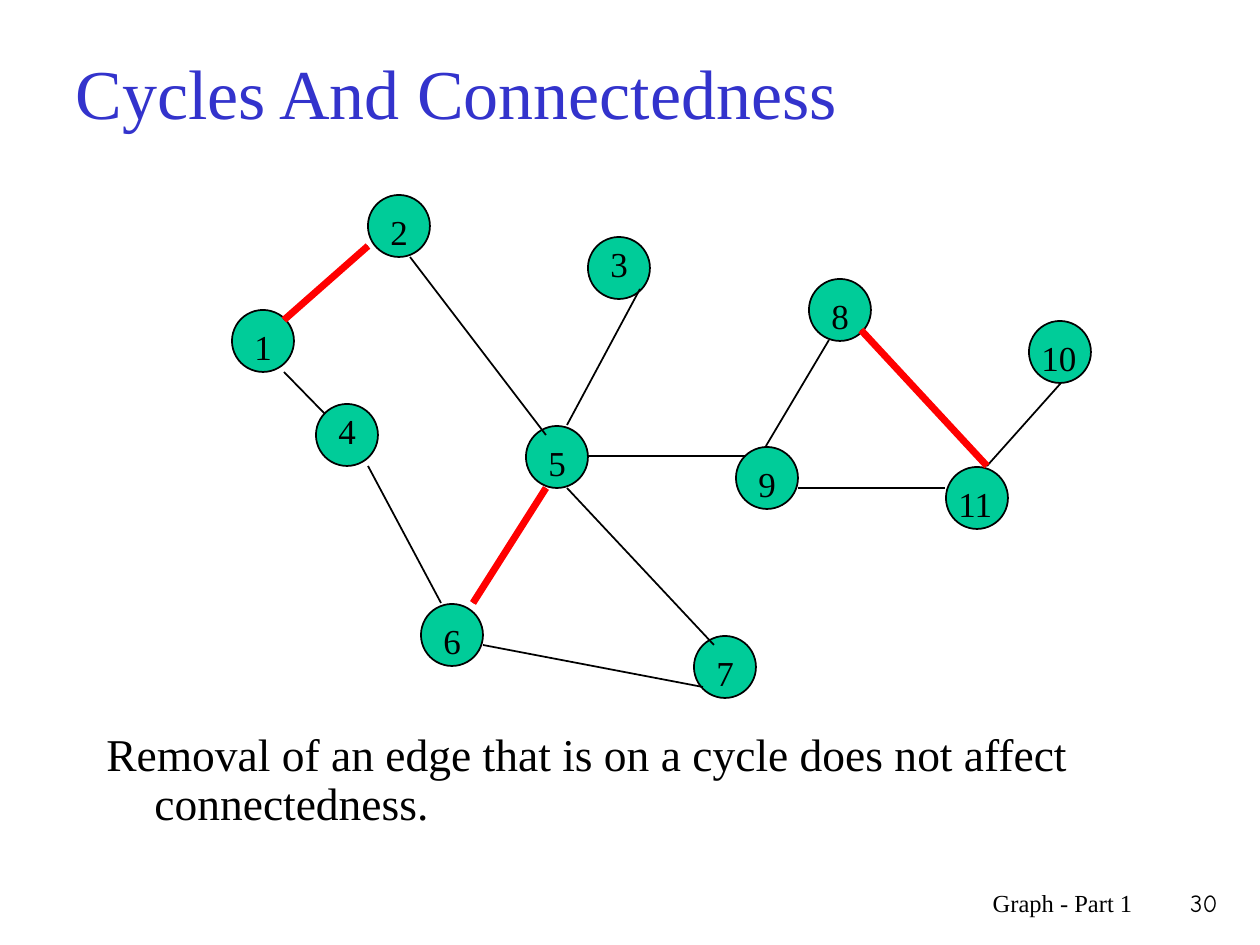
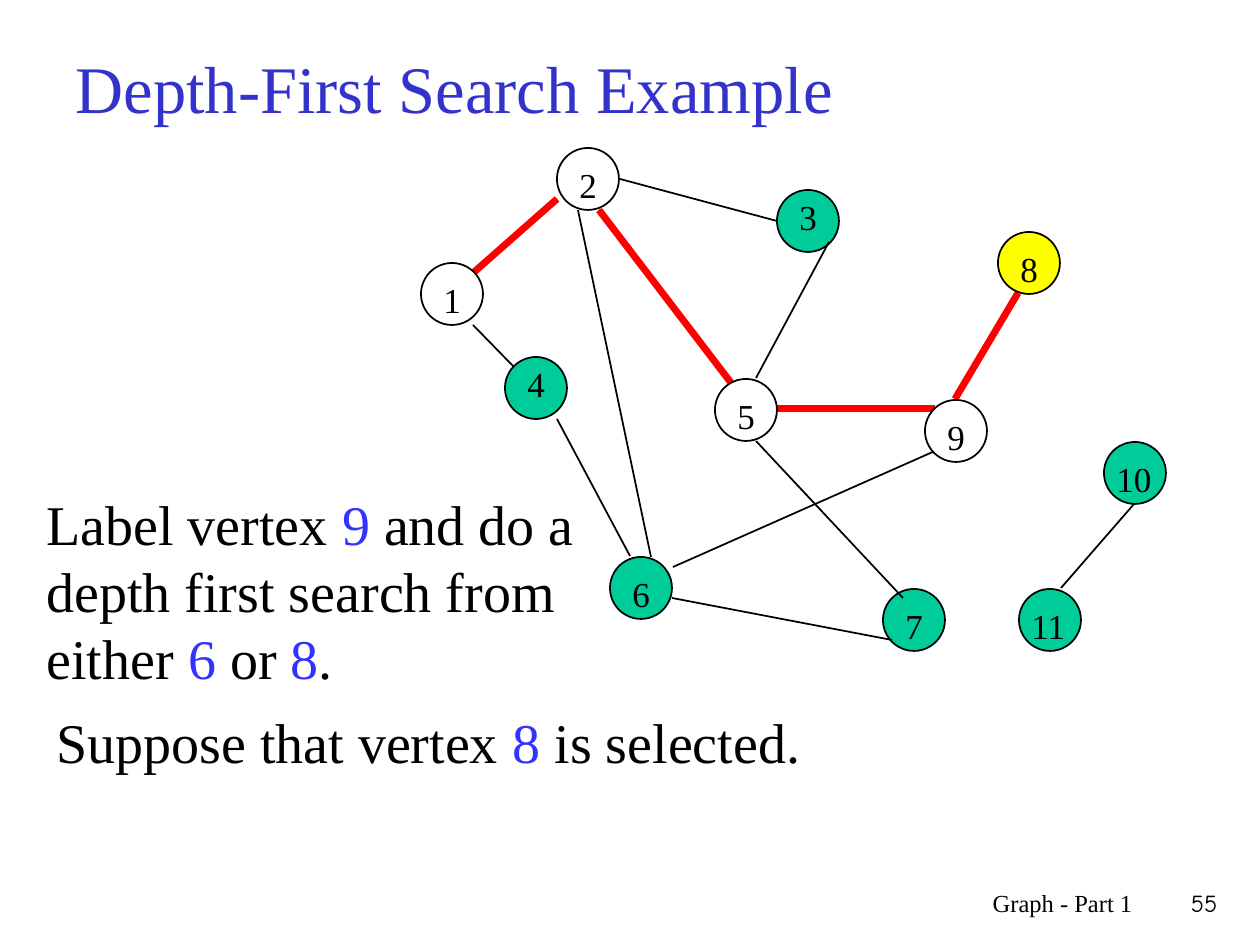
"""Build two lecture slides about cycles and depth-first search in a graph."""
from lxml import etree
from pptx import Presentation
from pptx import util as u
from pptx.dml.color import RGBColor
from pptx.enum import shapes, text
from pptx.oxml.ns import qn

PIXEL = 914400 / 126
BLACK = RGBColor(0x00, 0x00, 0x00)
WHITE = RGBColor(0xFF, 0xFF, 0xFF)
RED = RGBColor(0xFF, 0x00, 0x00)
GREEN = RGBColor(0x00, 0xCC, 0x99)
YELLOW = RGBColor(0xFF, 0xFF, 0x00)
TITLE_BLUE = RGBColor(0x33, 0x33, 0xCC)
NUMBER_BLUE = RGBColor(0x33, 0x33, 0xFF)
SERIF = "Times New Roman"
ROUNDED = "Comic Neue"
NODE_SIZE = 62

NODES = {
    1: (232, 310), 2: (368, 195), 3: (588, 237), 4: (316, 404),
    5: (526, 426), 6: (421, 604), 7: (694, 636), 8: (809, 279),
    9: (736, 447), 10: (1029, 321), 11: (946, 467),
}
EDGES = {
    (1, 2): (284, 320, 368, 246),
    (2, 5): (410, 257, 546, 435),
    (1, 4): (284, 372, 325, 414),
    (4, 6): (368, 466, 441, 603),
    (6, 7): (483, 645, 703, 687),
    (3, 5): (640, 289, 567, 425),
    (5, 7): (567, 488, 714, 645),
    (8, 9): (829, 340, 766, 446),
    (8, 11): (861, 330, 987, 466),
    (10, 11): (1061, 383, 987, 466),
    (5, 9): (588, 456, 746, 456),
    (5, 6): (546, 488, 473, 603),
    (9, 11): (798, 488, 945, 488),
}
SEARCH_NODES = NODES | {10: (915, 489), 11: (830, 636)}
SEARCH_EDGES = {
    pair: ends for pair, ends in EDGES.items() if pair not in {(5, 6), (8, 11), (9, 11)}
} | {
    (10, 11): (945, 551, 872, 635),
    (2, 3): (431, 226, 588, 268),
    (2, 6): (389, 257, 462, 604),
    (6, 9): (484, 614, 746, 498),
}


def px(*lengths):
    """Turn pixel lengths into EMU."""
    return [u.Emu(round(length * PIXEL)) for length in lengths]


def write(shape, runs, size=20, font=SERIF, color=BLACK, align=text.PP_ALIGN.LEFT,
          anchor=text.MSO_ANCHOR.TOP, spacing=None, hanging=0):
    """Write a string, or a list of (string, color) runs, as one paragraph."""
    frame = shape.text_frame
    frame.word_wrap = True
    frame.auto_size = text.MSO_AUTO_SIZE.NONE
    frame.vertical_anchor = anchor
    paragraph = frame.paragraphs[0]
    paragraph.alignment = align
    if spacing:
        paragraph.line_spacing = spacing
    if hanging:
        properties = paragraph._p.get_or_add_pPr()
        indent = px(hanging)[0]
        properties.set("marL", str(indent))
        properties.set("indent", str(-indent))
    for words, run_color in [(runs, color)] if isinstance(runs, str) else runs:
        run = paragraph.add_run()
        run.text = words
        run.font.size = u.Pt(size)
        run.font.name = font
        run.font.color.rgb = run_color


class Deck:
    """Hold the presentation, its shared style and the current slide."""

    def __init__(self):
        """Start a presentation of 10 by 7.5 inches."""
        self.presentation = Presentation()
        self.presentation.slide_width = u.Inches(10)
        self.presentation.slide_height = u.Inches(7.5)
        self.slide = None

    def start_slide(self, title, number, title_size, title_height):
        """Add a slide with its title and footer."""
        self.slide = self.presentation.slides.add_slide(self.presentation.slide_layouts[5])
        self.slide.background.fill.solid()
        self.slide.background.fill.fore_color.rgb = WHITE
        shape = self.slide.shapes.title
        shape.left, shape.top, shape.width, shape.height = px(63, 38, 1134, title_height)
        write(shape, title, size=title_size, color=TITLE_BLUE, anchor=text.MSO_ANCHOR.MIDDLE)
        right = text.PP_ALIGN.RIGHT
        self.textbox("Graph - Part 1", 746, 882, 399, 63, size=14, align=right)
        self.textbox(str(number), 1144, 882, 86, 63, size=14, font=ROUNDED, align=right)

    def textbox(self, runs, left, top, width, height, **style):
        """Add a text box."""
        write(self.slide.shapes.add_textbox(*px(left, top, width, height)), runs, **style)

    def node(self, left, top, fill):
        """Add the circle of a vertex."""
        shape = self.slide.shapes.add_shape(
            shapes.MSO_SHAPE.OVAL, *px(left, top, NODE_SIZE, NODE_SIZE))
        shape.shadow.inherit = False
        shape.fill.solid()
        shape.fill.fore_color.rgb = fill
        shape.line.color.rgb = BLACK
        shape.line.width = u.Pt(1)

    def label(self, number, left, top):
        """Add the number of a vertex over its circle."""
        inset = 10 if number < 10 else 0
        drop = -1 if number in (3, 4) else 9
        width = {10: 63, 11: 105}.get(number, 32)
        self.textbox(str(number), left + inset, top + drop, width, 54)

    def edge(self, ends, color=BLACK, width=1):
        """Add a straight edge."""
        line = self.slide.shapes.add_connector(shapes.MSO_CONNECTOR.STRAIGHT, *px(*ends))
        line.line.color.rgb = color
        line.line.width = u.Pt(width)
        etree.SubElement(line._element.spPr, qn("a:effectLst"))

    def graph(self, nodes, edges, marked, shift=(0, 0), visited=None):
        """Draw a graph with its marked edges and visited vertices on top."""
        visited = visited or {}
        dx, dy = shift
        nodes = {number: (x + dx, y + dy) for number, (x, y) in nodes.items()}
        edges = {pair: (x1 + dx, y1 + dy, x2 + dx, y2 + dy)
                 for pair, (x1, y1, x2, y2) in edges.items()}
        unvisited = [number for number in nodes if number not in visited]
        for number in unvisited:
            self.node(*nodes[number], GREEN)
        for ends in edges.values():
            self.edge(ends)
        for number in unvisited:
            self.label(number, *nodes[number])
        for pair in marked:
            self.edge(edges[pair], RED, 4)
        for number, fill in visited.items():
            self.node(*nodes[number], fill)
            self.label(number, *nodes[number])


def main():
    """Build and save both slides."""
    deck = Deck()

    deck.start_slide("Cycles And Connectedness", 30, title_size=40, title_height=107)
    deck.graph(NODES, EDGES, marked=[(5, 6), (1, 2), (8, 11)])
    deck.textbox("Removal of an edge that is on a cycle does not affect connectedness.",
                 94, 726, 1071, 98, size=26, spacing=0.9, hanging=48)

    deck.start_slide("Depth-First Search Example", 55, title_size=38, title_height=97)
    deck.graph(SEARCH_NODES, SEARCH_EDGES, marked=[(1, 2), (2, 5), (5, 9), (8, 9)],
               shift=(189, -47), visited=dict.fromkeys([1, 2, 5, 9], WHITE) | {8: YELLOW})
    deck.textbox([("Label vertex ", BLACK), ("9", NUMBER_BLUE),
                  (" and do a depth first search from either ", BLACK), ("6", NUMBER_BLUE),
                  (" or ", BLACK), ("8", NUMBER_BLUE), (".", BLACK)],
                 34, 483, 629, 214, size=32)
    deck.textbox([("Suppose that vertex ", BLACK), ("8", NUMBER_BLUE),
                  (" is selected.", BLACK)], 44, 701, 977, 79, size=32)

    deck.presentation.save("out.pptx")


main()
